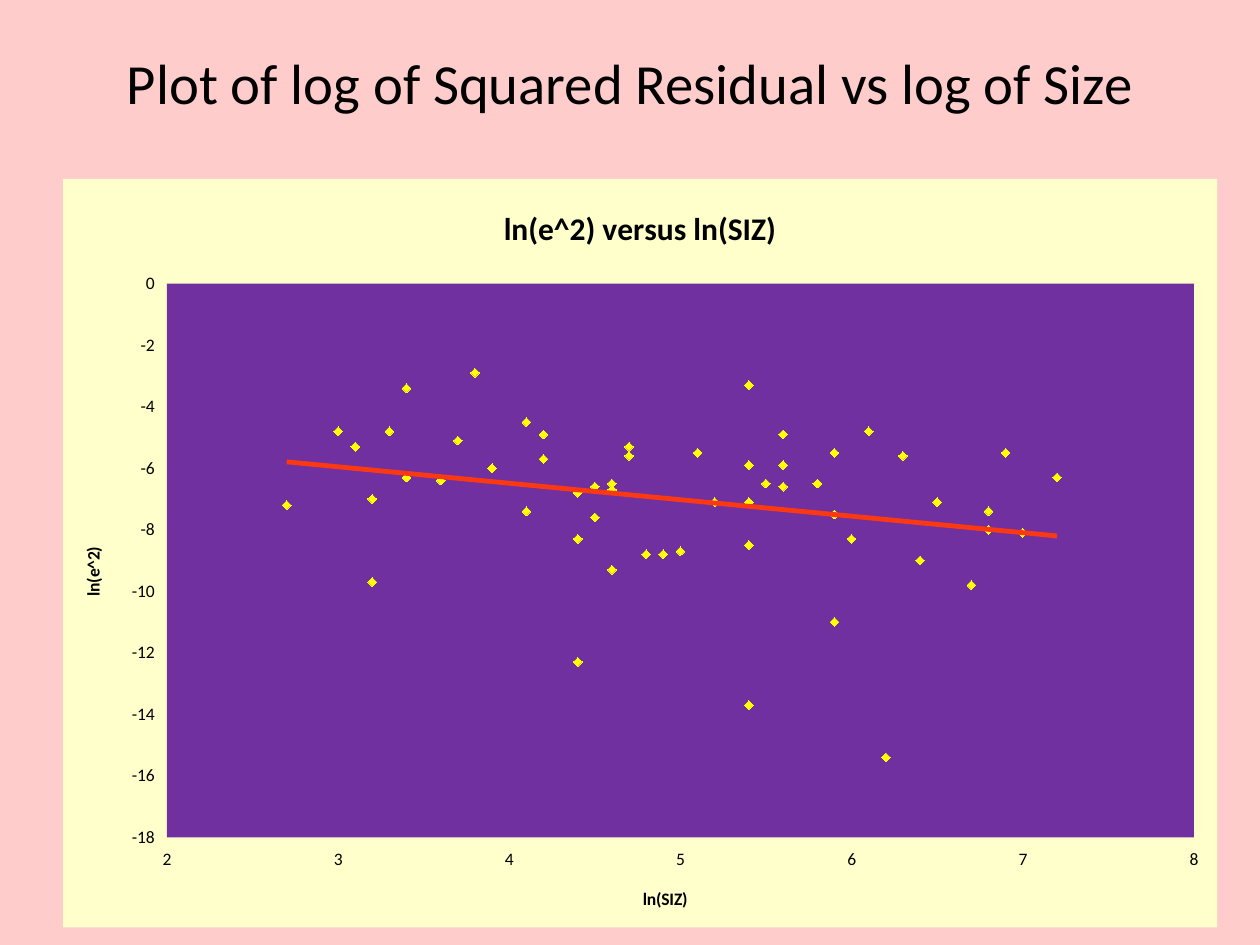
from lxml import etree
from pptx import Presentation
from pptx import util as u
from pptx.chart.data import XyChartData
from pptx.dml.color import RGBColor
from pptx.enum import chart as kinds, text
from pptx.oxml import parse_xml
from pptx.oxml.ns import nsdecls, qn

LOG_SIZE = [
    3.6, 4.4, 5.6, 5.9, 6.4, 5.4, 6.2, 3.4, 5.6, 6.7, 5.6, 4.8, 6, 3.7, 4.2,
    4.4, 4.6, 5.8, 6.8, 4.7, 4.6, 2.7, 3.4, 4.5, 4.5, 4.1, 5.1, 4.2, 5.4, 6.8,
    5.4, 4.6, 5.9, 5, 5.4, 3.2, 6.3, 7.2, 5.5, 3.8, 5.2, 3.1, 3.3, 3.1, 5.4,
    4.1, 5.9, 4.9, 6.5, 3, 3.2, 3.9, 4.4, 4.7, 6.9, 6.1, 7]
LOG_SQUARED_RESIDUAL = [
    -6.4, -12.3, -6.6, -11, -9, -3.3, -15.4, -6.3, -5.9, -9.8, -4.9, -8.8,
    -8.3, -5.1, -4.9, -8.3, -6.5, -6.5, -8, -5.6, -9.3, -7.2, -3.4, -7.6, -6.6,
    -4.5, -5.5, -5.7, -13.7, -7.4, -5.9, -6.7, -5.5, -8.7, -8.5, -7, -5.6,
    -6.3, -6.5, -2.9, -7.1, -5.3, -4.8, -5.3, -7.1, -7.4, -7.5, -8.8, -7.1,
    -4.8, -9.7, -6, -6.8, -5.3, -5.5, -4.8, -8.1]


def color(hex_code):
    return RGBColor.from_string(hex_code)


def write(frame, words, size, bold=False):
    para = frame.paragraphs[0]
    para.alignment = text.PP_ALIGN.CENTER
    span = para.add_run()
    span.text = words
    span.font.name = "Calibri"
    span.font.size = u.Pt(size)
    span.font.bold = bold
    span.font.color.rgb = color("000000")


deck = Presentation()
deck.slide_width, deck.slide_height = u.Inches(10), u.Inches(7.5)
page = deck.slides.add_slide(deck.slide_layouts[6])
page.background.fill.solid()
page.background.fill.fore_color.rgb = color("FFCCCC")

# Slide title
box = page.shapes.add_textbox(u.Inches(0.5), u.Inches(0.3), u.Inches(9), u.Inches(0.7))
box.text_frame.word_wrap = True
box.text_frame.vertical_anchor = text.MSO_ANCHOR.MIDDLE
write(box.text_frame, "Plot of log of Squared Residual vs log of Size", 32.4)

# Scatter chart
data = XyChartData()
points = data.add_series("Series 1")
for x, y in zip(LOG_SIZE, LOG_SQUARED_RESIDUAL):
    points.add_data_point(x, y)
chart = page.shapes.add_chart(
    kinds.XL_CHART_TYPE.XY_SCATTER, u.Inches(0.5), u.Inches(1.42),
    u.Inches(9.16), u.Inches(5.94), data).chart
chart.has_legend = False
chart.font.name = "Calibri"
chart.font.size = u.Pt(10)
chart.font.color.rgb = color("000000")
chart.has_title = True
write(chart.chart_title.text_frame, "ln(e^2) versus ln(SIZ)", 18, bold=True)
chart.chart_title.include_in_layout = False

for axis, name, low, high, step in (
        (chart.category_axis, "ln(SIZ)", 2, 8, 1),
        (chart.value_axis, "ln(e^2)", -18, 0, 2)):
    axis.minimum_scale, axis.maximum_scale, axis.major_unit = low, high, step
    axis.has_major_gridlines = False
    axis.major_tick_mark = axis.minor_tick_mark = kinds.XL_TICK_MARK.NONE
    axis.tick_label_position = kinds.XL_TICK_LABEL_POSITION.LOW
    axis.tick_labels.number_format = "General"
    axis.tick_labels.number_format_is_linked = False
    axis.crosses = kinds.XL_AXIS_CROSSES.MINIMUM
    axis.format.line.fill.background()
    write(axis.axis_title.text_frame, name, 10, bold=True)

chart.plots[0].vary_by_categories = False
series = chart.plots[0].series[0]
series.format.line.fill.background()
series.marker.style = kinds.XL_MARKER_STYLE.DIAMOND
series.marker.size = 5
series.marker.format.fill.solid()
series.marker.format.fill.fore_color.rgb = color("FFFF00")
series.marker.format.line.color.rgb = color("FFFF00")

# Linear trend line
trend = parse_xml(
    f'<c:trendline {nsdecls("c", "a")}><c:spPr><a:ln w="{u.Pt(2.75)}"><a:solidFill>'
    '<a:srgbClr val="FA3912"/></a:solidFill></a:ln></c:spPr>'
    '<c:trendlineType val="linear"/><c:dispRSqr val="0"/><c:dispEq val="0"/></c:trendline>')
series._element.find(qn("c:xVal")).addprevious(trend)

# Chart and plot backgrounds
space = chart._chartSpace
plot_area = space.find(".//" + qn("c:plotArea"))
for fill in ("FFFFCC", "7030A0"):
    background = parse_xml(
        f'<c:spPr {nsdecls("c", "a")}><a:solidFill><a:srgbClr val="{fill}"/></a:solidFill>'
        '<a:ln><a:noFill/></a:ln></c:spPr>')
    if fill == "FFFFCC":
        space.find(qn("c:txPr")).addprevious(background)
    else:
        plot_area.append(background)

# Inner plot position, as fractions of the chart
layout = plot_area.find(qn("c:layout"))
if layout is None:
    layout = parse_xml(f'<c:layout {nsdecls("c")}/>')
    plot_area.insert(0, layout)
manual = etree.SubElement(layout, qn("c:manualLayout"))
for tag, value in (("layoutTarget", "inner"), ("xMode", "edge"), ("yMode", "edge"),
                   ("x", 0.09), ("y", 0.14), ("w", 0.89), ("h", 0.74)):
    etree.SubElement(manual, qn(f"c:{tag}")).set("val", str(value))

deck.save("out.pptx")
